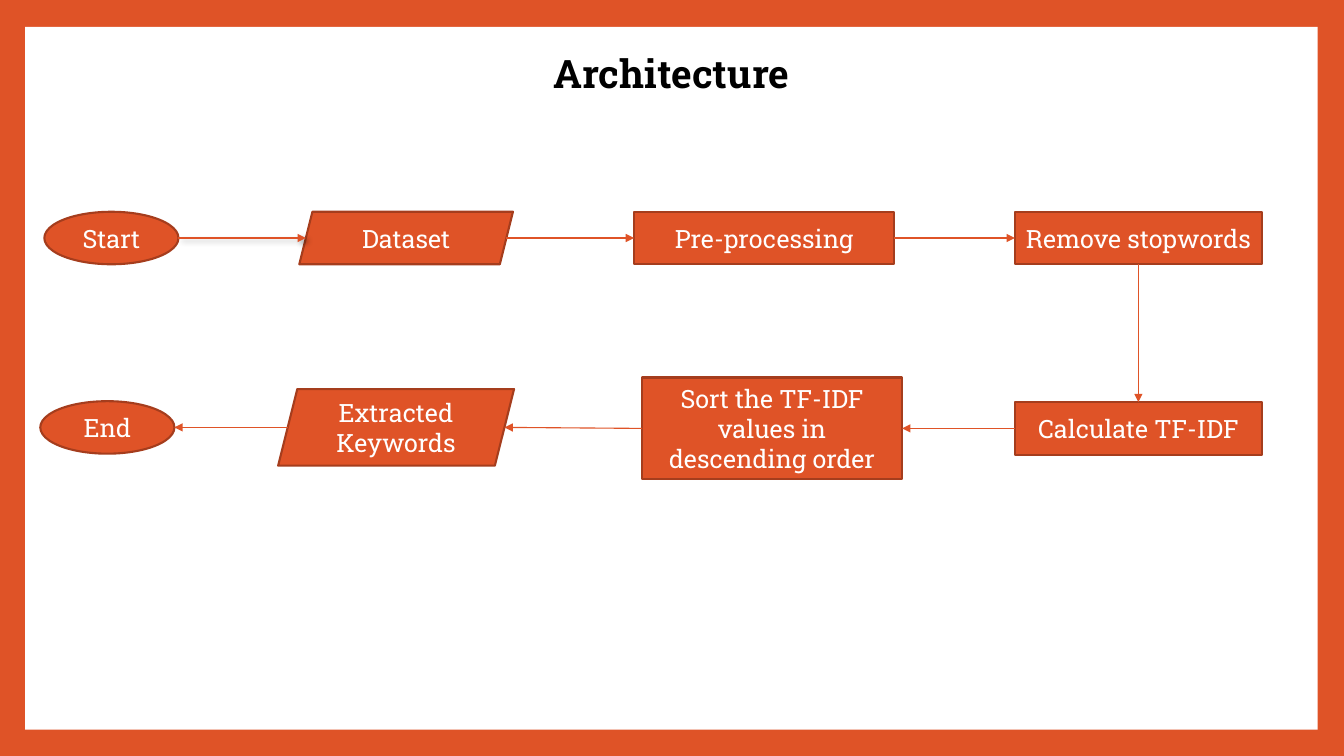
from dataclasses import dataclass
from lxml import etree
from pptx import Presentation
from pptx.dml.color import RGBColor
from pptx.enum import shapes, text
from pptx.oxml import ns
from pptx.util import Pt

KIND = shapes.MSO_SHAPE


@dataclass(frozen=True)
class Theme:
    face: str = "Roboto Slab"
    main: str = "DF5327"
    edge: str = "A53D1D"
    white: str = "FFFFFF"
    black: str = "000000"
    head: int = 28
    body: int = 18
    rim: float = 1.5
    thin: float = 0.79


THEME = Theme()
SLANT = 0.25  # share of a parallelogram's height taken by its slope


def write(frame, words, size, color, bold=False):
    frame.word_wrap = True
    para = frame.paragraphs[0]
    para.alignment = text.PP_ALIGN.CENTER
    run = para.add_run()
    run.text = words
    style = {"name": THEME.face, "size": Pt(size), "bold": bold}
    for key, value in style.items():
        setattr(run.font, key, value)
    run.font.color.rgb = RGBColor.from_string(color)


def block(slide, kind, box, fill, edge=None):
    shape = slide.shapes.add_shape(kind, *map(Pt, box))
    shape.shadow.inherit = False
    shape.fill.solid()
    shape.fill.fore_color.rgb = RGBColor.from_string(fill)
    if edge:
        shape.line.color.rgb = RGBColor.from_string(edge)
        shape.line.width = Pt(THEME.rim)
    else:
        shape.line.fill.background()
    return shape


def step(slide, words, kind, left, mid, width, height=37.5):
    """Draw a step centred on mid; return its four arrow ports."""
    box = left, mid - height / 2, width, height
    shape = block(slide, kind, box, THEME.main, THEME.edge)
    shape.text_frame.vertical_anchor = text.MSO_ANCHOR.MIDDLE
    write(shape.text_frame, words, THEME.body, THEME.white)
    inset = SLANT * height / 2 if kind == KIND.PARALLELOGRAM else 0
    return {
        "left": (left + inset, mid),
        "right": (left + width - inset, mid),
        "top": (left + width / 2, mid - height / 2),
        "bottom": (left + width / 2, mid + height / 2),
    }


def arrow(slide, start, end, shade=False):
    line = slide.shapes.add_connector(
        shapes.MSO_CONNECTOR.STRAIGHT, *map(Pt, start + end))
    line.line.color.rgb = RGBColor.from_string(THEME.main)
    line.line.width = Pt(THEME.thin)
    tip = etree.SubElement(line.line._get_or_add_ln(), ns.qn("a:tailEnd"))
    tip.set("type", "triangle")
    props = line._element.spPr
    effect = etree.SubElement(props, ns.qn("a:effectLst"))
    if shade:
        cast = etree.SubElement(
            effect, ns.qn("a:outerShdw"), blurRad=str(Pt(4)),
            dist=str(Pt(3)), dir=str(45 * 60000), rotWithShape="0")
        color = etree.SubElement(cast, ns.qn("a:srgbClr"), val=THEME.black)
        etree.SubElement(color, ns.qn("a:alpha"), val="40000")


def main():
    deck = Presentation()
    deck.slide_width, deck.slide_height = Pt(960), Pt(540)
    slide = deck.slides.add_slide(deck.slide_layouts[6])

    # Orange frame around a white panel
    back = slide.background.fill
    back.solid()
    back.fore_color.rgb = RGBColor.from_string(THEME.main)
    block(slide, KIND.RECTANGLE, (18, 19.2, 923.2, 502), THEME.white)

    # Title
    title = slide.shapes.add_textbox(*map(Pt, (31.7, 31.7, 895.7, 41)))
    write(title.text_frame, "Architecture", THEME.head, THEME.black, True)

    # Steps in order of flow: words, kind, left, middle, width, height
    oval, data, task = KIND.OVAL, KIND.PARALLELOGRAM, KIND.RECTANGLE
    steps = [
        ("Start", oval, 31.7, 170, 95.8),
        ("Dataset", data, 213.8, 170, 152.6),
        ("Pre-processing", task, 452.9, 170, 185.8),
        ("Remove stopwords", task, 725, 170, 176.4),
        ("Calculate TF-IDF", task, 725, 306, 176.4),
        ("Sort the TF-IDF values in descending order",
         task, 458.6, 306, 185.8, 72.7),
        ("Extracted Keywords", data, 198.7, 305.3, 168.5, 54.7),
        ("End", oval, 28.8, 305.3, 95.8),
    ]
    ports = [step(slide, *item) for item in steps]

    # Arrows: right along the top row, down, then back left
    ways = ([("right", "left")] * 3 + [("bottom", "top")]
            + [("left", "right")] * 3)
    for spot, (out, into) in enumerate(ways):
        arrow(slide, ports[spot][out], ports[spot + 1][into], spot == 0)

    deck.save("out.pptx")


main()
